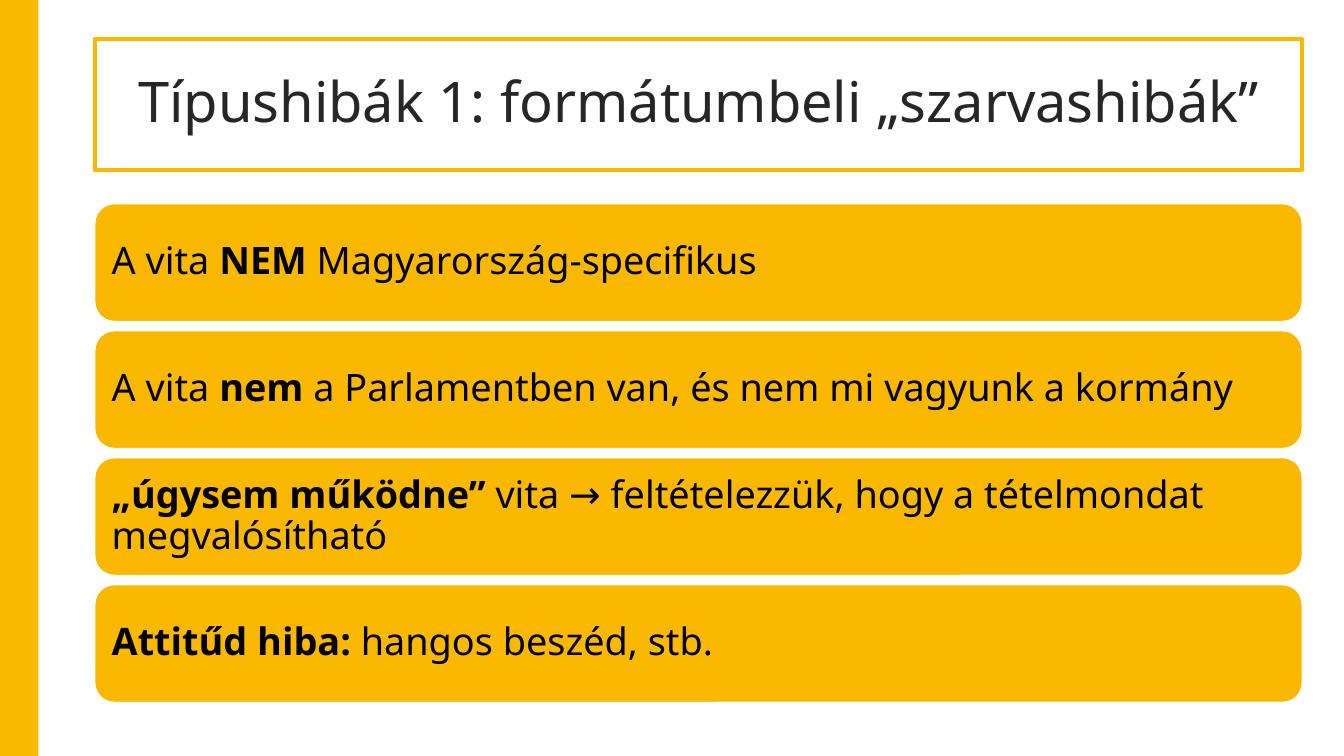
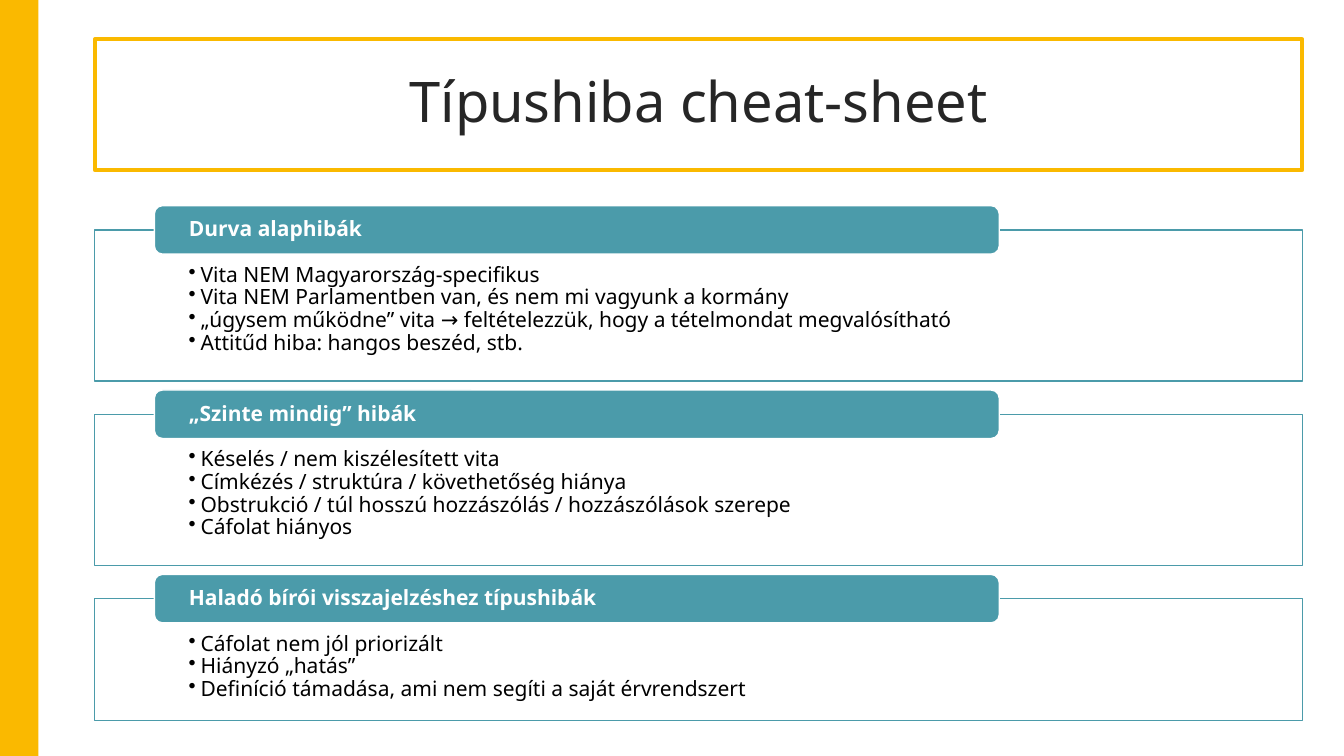
from lxml.etree import SubElement
from pptx import Presentation
from pptx.dml.color import RGBColor
from pptx.enum.shapes import MSO_SHAPE as Shape
from pptx.enum.text import MSO_ANCHOR as Anchor, MSO_AUTO_SIZE as AutoSize, PP_ALIGN as Align
from pptx.oxml.ns import qn
from pptx.util import Pt

MISTAKES_TITLE = "Típushibák 1: formátumbeli „szarvashibák”"
MISTAKES = [
    [("A vita ", False), ("NEM ", True), ("Magyarország-specifikus", False)],
    [("A vita ", False), ("nem", True),
     (" a Parlamentben van, és nem mi vagyunk a kormány", False)],
    [("„úgysem működne”", True),
     (" vita → feltételezzük, hogy a tételmondat megvalósítható", False)],
    [("Attitűd hiba: ", True), ("hangos beszéd, stb.", False)],
]
SHEET_TITLE = "Típushiba cheat-sheet"
SHEET = [
    ("Durva alaphibák", [
        "Vita NEM Magyarország-specifikus",
        "Vita NEM Parlamentben van, és nem mi vagyunk a kormány",
        "„úgysem működne” vita → feltételezzük, hogy a tételmondat megvalósítható",
        "Attitűd hiba: hangos beszéd, stb.",
    ]),
    ("„Szinte mindig” hibák", [
        "Késelés / nem kiszélesített vita",
        "Címkézés / struktúra / követhetőség hiánya",
        "Obstrukció / túl hosszú hozzászólás / hozzászólások szerepe",
        "Cáfolat hiányos",
    ]),
    ("Haladó bírói visszajelzéshez típushibák", [
        "Cáfolat nem jól priorizált",
        "Hiányzó „hatás”",
        "Definíció támadása, ami nem segíti a saját érvrendszert",
    ]),
]

FONT = "Noto Sans"
GOLD, TEAL, WHITE, BLACK, DARK = "FAB900", "4B9BAA", "FFFFFF", "000000", "262626"
SLIDE_W, SLIDE_H = 960, 540
LEFT, WIDTH = 67.7, 862.5
BAND_W = 27.4
TITLE_TOP, TITLE_H = 28, 93.6
BAR_TOP, BAR_H, BAR_STEP = 145.5, 84.2, 90.7
PANEL_TOP, PANEL_GAP, PANEL_PAD, ITEM_H = 164.2, 23.7, 24, 21
HEADING_LEFT, HEADING_W, HEADING_H = 110.3, 603.5, 34.6
BULLET_INDENT = 8.6


def rgb(color):
    return RGBColor.from_string(color)


def style(shape, fill=None, line=None, weight=1):
    if fill:
        shape.fill.solid()
        shape.fill.fore_color.rgb = rgb(fill)
    if line:
        shape.line.color.rgb = rgb(line)
        shape.line.width = Pt(weight)
    else:
        shape.line.fill.background()


def add_box(slide, kind, left, top, width, height, **look):
    box = slide.shapes.add_shape(kind, Pt(left), Pt(top), Pt(width), Pt(height))
    box.shadow.inherit = False
    style(box, **look)
    return box


def add_bullet(paragraph):
    properties = paragraph._p.get_or_add_pPr()
    properties.set("marL", str(Pt(BULLET_INDENT)))
    properties.set("indent", str(-Pt(BULLET_INDENT)))
    SubElement(properties, qn("a:buChar"), char="•")


def write(shape, paragraphs, size, color=BLACK, align=Align.LEFT,
          anchor=Anchor.MIDDLE, insets=(0, 0, 0, 0), bullets=False):
    frame = shape.text_frame
    frame.word_wrap = True
    frame.auto_size = AutoSize.NONE
    frame.vertical_anchor = anchor
    (frame.margin_left, frame.margin_top,
     frame.margin_right, frame.margin_bottom) = map(Pt, insets)
    for number, runs in enumerate(paragraphs):
        paragraph = frame.add_paragraph() if number else frame.paragraphs[0]
        paragraph.alignment = align
        paragraph.line_spacing = 0.9
        paragraph.space_before = paragraph.space_after = Pt(0)
        if bullets:
            add_bullet(paragraph)
        for text, bold in runs:
            run = paragraph.add_run()
            run.text = text
            run.font.name = FONT
            run.font.size = Pt(size)
            run.font.bold = bold
            run.font.color.rgb = rgb(color)


def add_slide(deck, text):
    slide = deck.slides.add_slide(deck.slide_layouts[5])
    title = slide.shapes.title
    title.left, title.top = Pt(LEFT), Pt(TITLE_TOP)
    title.width, title.height = Pt(WIDTH), Pt(TITLE_H)
    style(title, line=GOLD, weight=2.5)
    write(title, [[(text, False)]], size=40, color=DARK, align=Align.CENTER,
          insets=(14.4,) * 4)
    return slide


deck = Presentation()
deck.slide_width, deck.slide_height = Pt(SLIDE_W), Pt(SLIDE_H)

mistakes_slide = add_slide(deck, MISTAKES_TITLE)
band = add_box(mistakes_slide, Shape.RECTANGLE, 0, 0, BAND_W, SLIDE_H, fill=GOLD)
deck.slide_master.shapes.element.insert(2, band.element)

for row, mistake in enumerate(MISTAKES):
    bar = add_box(mistakes_slide, Shape.ROUNDED_RECTANGLE, LEFT,
                  BAR_TOP + row * BAR_STEP, WIDTH, BAR_H, fill=GOLD, line=WHITE)
    write(bar, [mistake], size=27, insets=(8,) * 4)

sheet_slide = add_slide(deck, SHEET_TITLE)
top = PANEL_TOP
for heading, items in SHEET:
    height = PANEL_PAD + ITEM_H * len(items)
    panel = add_box(sheet_slide, Shape.RECTANGLE, LEFT, top, WIDTH, height,
                    fill=WHITE, line=TEAL)
    write(panel, [[(item, False)] for item in items], size=15, anchor=Anchor.TOP,
          insets=(67, 24.5, 67, 8.6), bullets=True)
    label = add_box(sheet_slide, Shape.ROUNDED_RECTANGLE, HEADING_LEFT,
                    top - HEADING_H / 2, HEADING_W, HEADING_H, fill=TEAL, line=WHITE)
    write(label, [[(heading, True)]], size=15, color=WHITE, insets=(23, 0, 23, 0))
    top += height + PANEL_GAP

deck.save("out.pptx")
